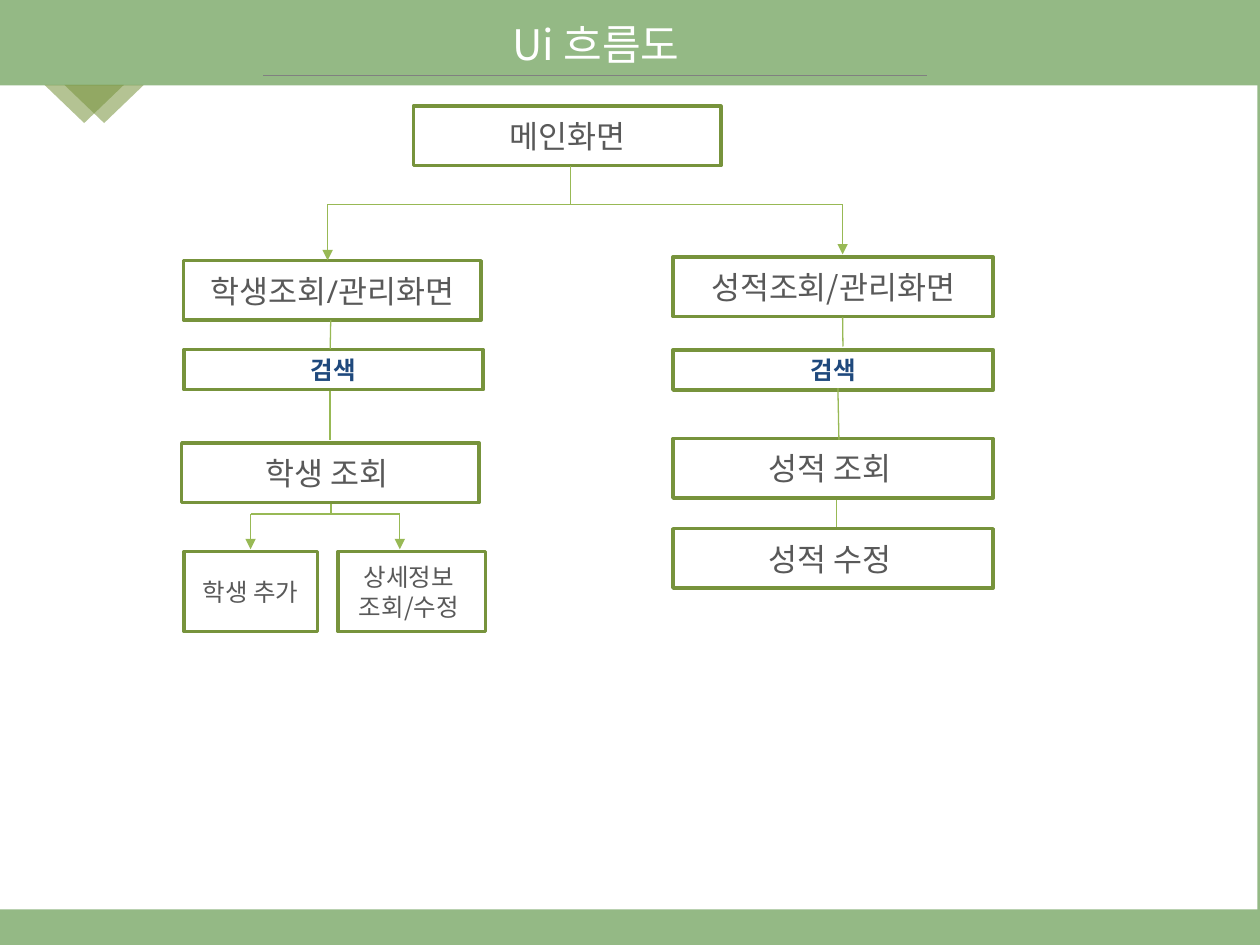
from lxml.etree import SubElement
from pptx import Presentation
from pptx.dml.color import RGBColor
from pptx.enum.shapes import MSO_CONNECTOR as CONNECTOR, MSO_SHAPE as SHAPE
from pptx.enum.text import MSO_ANCHOR as ANCHOR, PP_ALIGN as ALIGN
from pptx.oxml.ns import qn
from pptx.util import Pt

SAGE = RGBColor(0x94, 0xB9, 0x85)
WHITE = RGBColor(0xFF, 0xFF, 0xFF)
OLIVE = RGBColor(0x77, 0x93, 0x3C)
LIME = RGBColor(0x98, 0xB9, 0x55)
GREY = RGBColor(0x80, 0x80, 0x80)
CHARCOAL = RGBColor(0x59, 0x59, 0x59)
NAVY = RGBColor(0x1F, 0x49, 0x7D)
KOREAN = "Noto Sans CJK KR"
LATIN = "Open Sans"


def write_text(frame, text, size=18, color=CHARCOAL, font=KOREAN, bold=False, anchor=ANCHOR.MIDDLE):
    frame.word_wrap = True
    frame.vertical_anchor = anchor
    for index, line in enumerate(text.split("\n")):
        paragraph = frame.paragraphs[0] if index == 0 else frame.add_paragraph()
        paragraph.alignment = ALIGN.CENTER
        run = paragraph.add_run()
        run.text = line
        run.font.size = Pt(size)
        run.font.bold = bold
        run.font.color.rgb = color
        run.font.name = font
        SubElement(run.font._element, qn("a:ea")).set("typeface", KOREAN)


def connect(x1, y1, x2, y2, color=LIME, arrow=False):
    link = slide.shapes.add_connector(CONNECTOR.STRAIGHT, Pt(x1), Pt(y1), Pt(x2), Pt(y2))
    link.line.color.rgb = color
    link.line.width = Pt(0.75)
    if arrow:
        SubElement(link.line._get_or_add_ln(), qn("a:tailEnd")).set("type", "triangle")
    SubElement(link._element.spPr, qn("a:effectLst"))


deck = Presentation()
deck.slide_width, deck.slide_height = Pt(720), Pt(540)
slide = deck.slides.add_slide(deck.slide_layouts[6])
slide.background.fill.solid()
slide.background.fill.fore_color.rgb = SAGE

panel = slide.shapes.add_shape(SHAPE.RECTANGLE, Pt(-2), Pt(48.8), Pt(720.5), Pt(470.8))
panel.shadow.inherit = False
panel.fill.solid()
panel.fill.fore_color.rgb = WHITE
panel.line.fill.background()

title = slide.shapes.add_textbox(Pt(248.4), Pt(7.2), Pt(184.3), Pt(36))
write_text(title.text_frame, "Ui 흐름도", size=24, color=WHITE, anchor=ANCHOR.TOP)
connect(150.5, 43.2, 530, 43.2, color=GREY)

for left in (25.4, 36.8):
    marker = slide.shapes.add_shape(SHAPE.ISOSCELES_TRIANGLE, Pt(left), Pt(48.5), Pt(45.4), Pt(21.8))
    marker.rotation = 180
    marker.shadow.inherit = False
    marker.fill.solid()
    marker.fill.fore_color.rgb = OLIVE
    tint = marker.fill._xPr.find(qn("a:solidFill"))[0]
    SubElement(tint, qn("a:alpha")).set("val", "55000")
    marker.line.fill.background()

search = dict(size=14, color=NAVY, bold=True)
screens = [
    ("메인화면", 236.2, 60.7, 175.8, 34, {}),
    ("학생조회/관리화면", 104.9, 149, 170, 34, dict(font=LATIN)),
    ("성적조회/관리화면", 384.6, 146.9, 183, 34, {}),
    ("학생 추가", 105, 315.2, 76.5, 45.6, dict(size=14)),
    ("상세정보 \n조회/수정 ", 193, 315.2, 84.4, 45.6, dict(size=14)),
    ("학생 조회 ", 103.8, 253.2, 170, 34, dict(font=LATIN)),
    ("성적 조회 ", 384.6, 250.6, 183, 34, dict(font=LATIN)),
    ("성적 수정 ", 384.6, 302.1, 183, 34, {}),
    ("검색", 105.1, 199.7, 171, 23, search),
    ("검색", 384.6, 199.9, 183, 23, search),
]
for label, left, top, width, height, style in screens:
    screen = slide.shapes.add_shape(SHAPE.RECTANGLE, Pt(left), Pt(top), Pt(width), Pt(height))
    screen.shadow.inherit = False
    screen.fill.solid()
    screen.fill.fore_color.rgb = WHITE
    screen.line.color.rgb = OLIVE
    screen.line.width = Pt(2)
    write_text(screen.text_frame, label, **style)

forks = [
    (326.2, 95, 116.7, (187.2, 148.8), (481.5, 145.4)),
    (189.2, 288, 293.8, (143.2, 313.9), (228.5, 313.9)),
]
for stem, top, branch, *ends in forks:
    connect(stem, top, stem, branch)
    connect(ends[0][0], branch, ends[1][0], branch)
    for x, bottom in ends:
        connect(x, branch, x, bottom, arrow=True)

steps = [
    (189, 182.9, 188.7, 199.4),
    (188.6, 223.2, 188.6, 251.3),
    (481.5, 181.4, 481.7, 198),
    (478.8, 221.8, 479.4, 251.3),
    (478.2, 285.8, 478.2, 301),
]
for step in steps:
    connect(*step)

deck.save("out.pptx")
